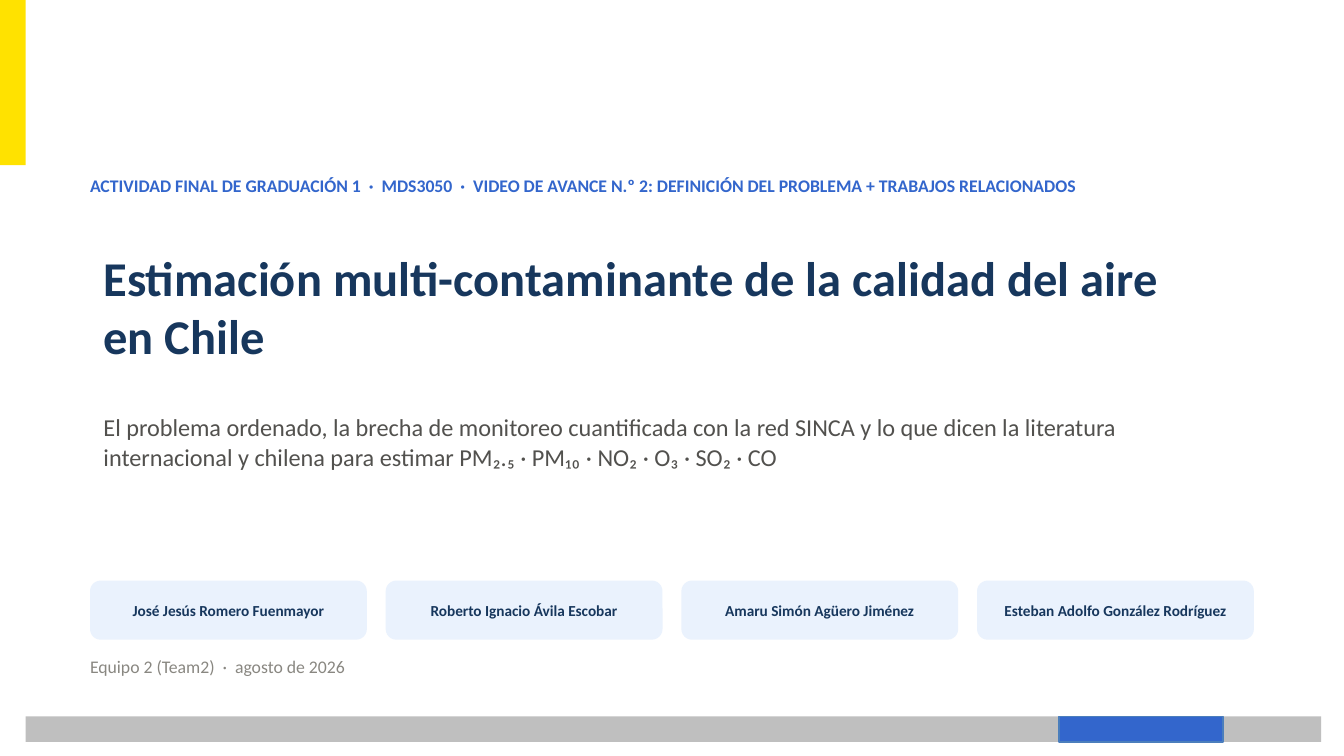
from pptx import Presentation
from pptx.dml.color import RGBColor
from pptx.enum.shapes import MSO_SHAPE
from pptx.enum.text import MSO_ANCHOR, PP_ALIGN
from pptx.util import Inches, Pt

FONT = "Calibri"
NAVY, BLUE, YELLOW = "17375D", "3366CC", "FFE200"
SILVER, PALE_BLUE, DARK_GRAY, GRAY = "BFBFBF", "EAF2FD", "52514E", "898781"
AUTHORS = [
    "José Jesús Romero Fuenmayor",
    "Roberto Ignacio Ávila Escobar",
    "Amaru Simón Agüero Jiménez",
    "Esteban Adolfo González Rodríguez",
]


def color(hex_value):
    return RGBColor.from_string(hex_value)


def write(shape, text, size, hex_value, bold=False, align=PP_ALIGN.LEFT,
          anchor=MSO_ANCHOR.TOP, inset=0.0, inset_y=0.0, space_before=0):
    frame = shape.text_frame
    frame.word_wrap = True
    frame.vertical_anchor = anchor
    frame.margin_left = frame.margin_right = Inches(inset)
    frame.margin_top = frame.margin_bottom = Inches(inset_y)
    frame.text = text
    paragraph = frame.paragraphs[0]
    paragraph.alignment = align
    paragraph.space_before = Pt(space_before)
    font = paragraph.runs[0].font
    font.name, font.size, font.bold = FONT, Pt(size), bold
    font.color.rgb = color(hex_value)


def move(shape, left, top, width, height):
    shape.left, shape.top = Inches(left), Inches(top)
    shape.width, shape.height = Inches(width), Inches(height)


def add_block(slide, left, top, width, height, fill, line=None,
              kind=MSO_SHAPE.RECTANGLE):
    """Add a flat filled shape, outlined only when a line colour is given."""
    shape = slide.shapes.add_shape(
        kind, Inches(left), Inches(top), Inches(width), Inches(height))
    shape.shadow.inherit = False
    shape.fill.solid()
    shape.fill.fore_color.rgb = color(fill)
    if line:
        shape.line.color.rgb = color(line)
        shape.line.width = Pt(0.75)
    else:
        shape.line.fill.background()
    return shape


def add_label(slide, left, top, width, height, text, **style):
    box = slide.shapes.add_textbox(
        Inches(left), Inches(top), Inches(width), Inches(height))
    write(box, text, **style)


def add_corner_bar(slide, left, top, width, height):
    add_block(slide, left, top, width, height, YELLOW)


def add_footer_band(slide, left, top, width, height):
    add_block(slide, left, top, width, height, SILVER)
    add_block(slide, left + 7.69, top, 1.22, height, BLUE, line="4B7EBC")


def add_heading(slide, left, top, width):
    add_label(
        slide, left, top, width, 0.3,
        "ACTIVIDAD FINAL DE GRADUACIÓN 1  ·  MDS3050  ·  VIDEO DE AVANCE N.º 2: "
        "DEFINICIÓN DEL PROBLEMA + TRABAJOS RELACIONADOS",
        size=9.5, hex_value=BLUE, bold=True)

    title = slide.shapes.title
    move(title, left, top + 0.38, width, 1.2)
    write(title, "Estimación multi-contaminante de la calidad del aire en Chile",
          size=26, hex_value=NAVY, bold=True, anchor=MSO_ANCHOR.MIDDLE,
          inset=0.1, inset_y=0.05)

    subtitle = slide.placeholders[1]
    move(subtitle, left, top + 1.72, width, 1.2)
    write(subtitle,
          "El problema ordenado, la brecha de monitoreo cuantificada con la red "
          "SINCA y lo que dicen la literatura internacional y chilena para estimar "
          "PM₂.₅ · PM₁₀ · NO₂ · O₃ · SO₂ · CO",
          size=13, hex_value=DARK_GRAY, inset=0.1, inset_y=0.05, space_before=2)


def add_author_cards(slide, left, top, width, height, gap=0.14):
    card_width = (width - gap * (len(AUTHORS) - 1)) / len(AUTHORS)
    for index, author in enumerate(AUTHORS):
        card = add_block(slide, left + index * (card_width + gap), top,
                         card_width, height, PALE_BLUE,
                         kind=MSO_SHAPE.ROUNDED_RECTANGLE)
        card.adjustments[0] = 0.18
        write(card, author, size=8.2, hex_value=NAVY, bold=True,
              align=PP_ALIGN.CENTER, anchor=MSO_ANCHOR.MIDDLE, inset=0.08)


def main():
    presentation = Presentation()
    presentation.slide_width = Inches(10)
    presentation.slide_height = presentation.slide_width * 9 // 16
    slide = presentation.slides.add_slide(presentation.slide_layouts[0])
    slide.background.fill.solid()
    slide.background.fill.fore_color.rgb = color("FFFFFF")

    left = 0.67
    add_corner_bar(slide, 0, 0, 0.19, 1.23)
    add_footer_band(slide, 0.19, 5.33, 9.64, 0.19)
    add_heading(slide, left, 1.3, 8.5)
    add_author_cards(slide, left, 4.32, 8.66, 0.44)
    add_label(slide, left, 4.88, 8.5, 0.26, "Equipo 2 (Team2)  ·  agosto de 2026",
              size=9.5, hex_value=GRAY)
    presentation.save("out.pptx")


if __name__ == "__main__":
    main()
